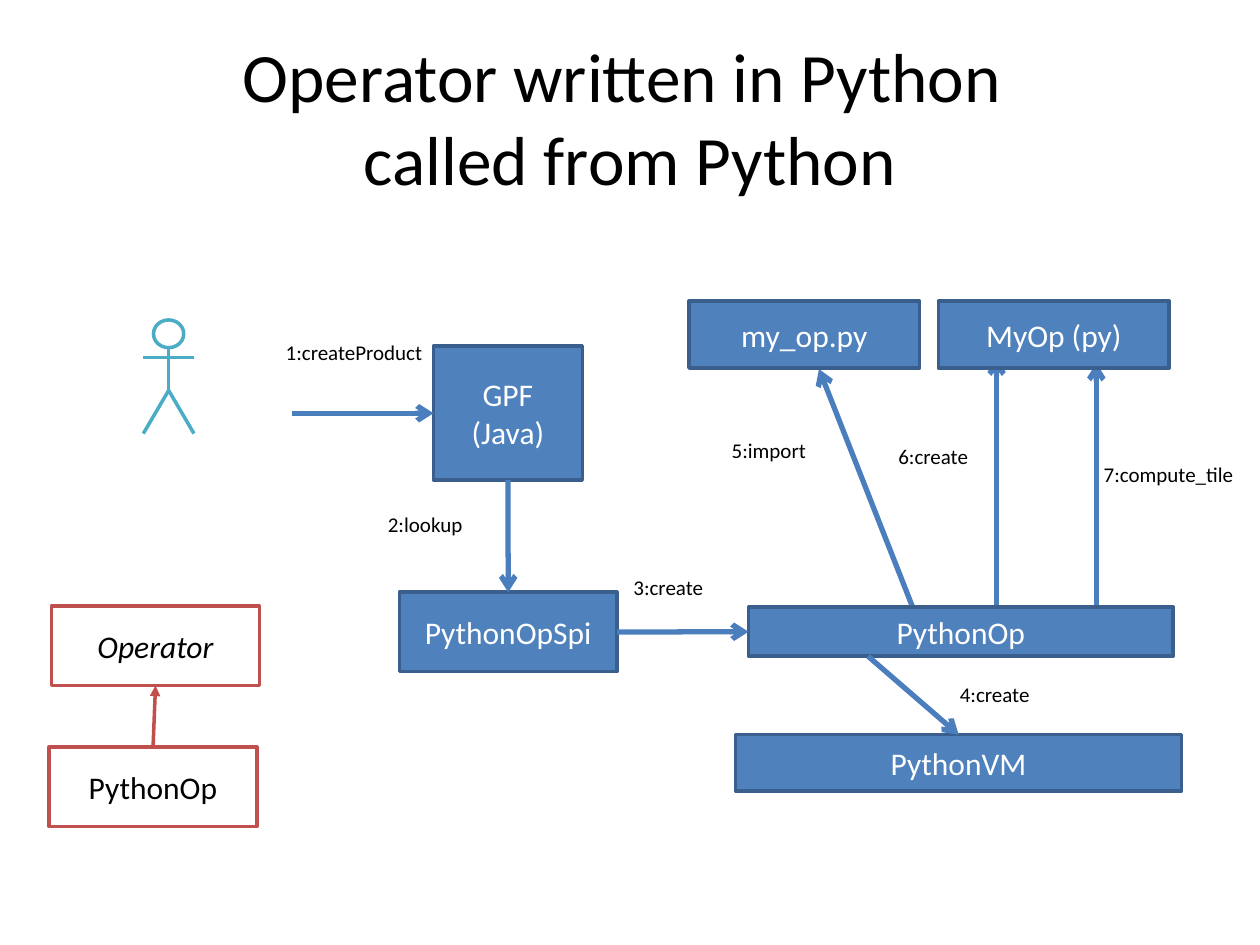
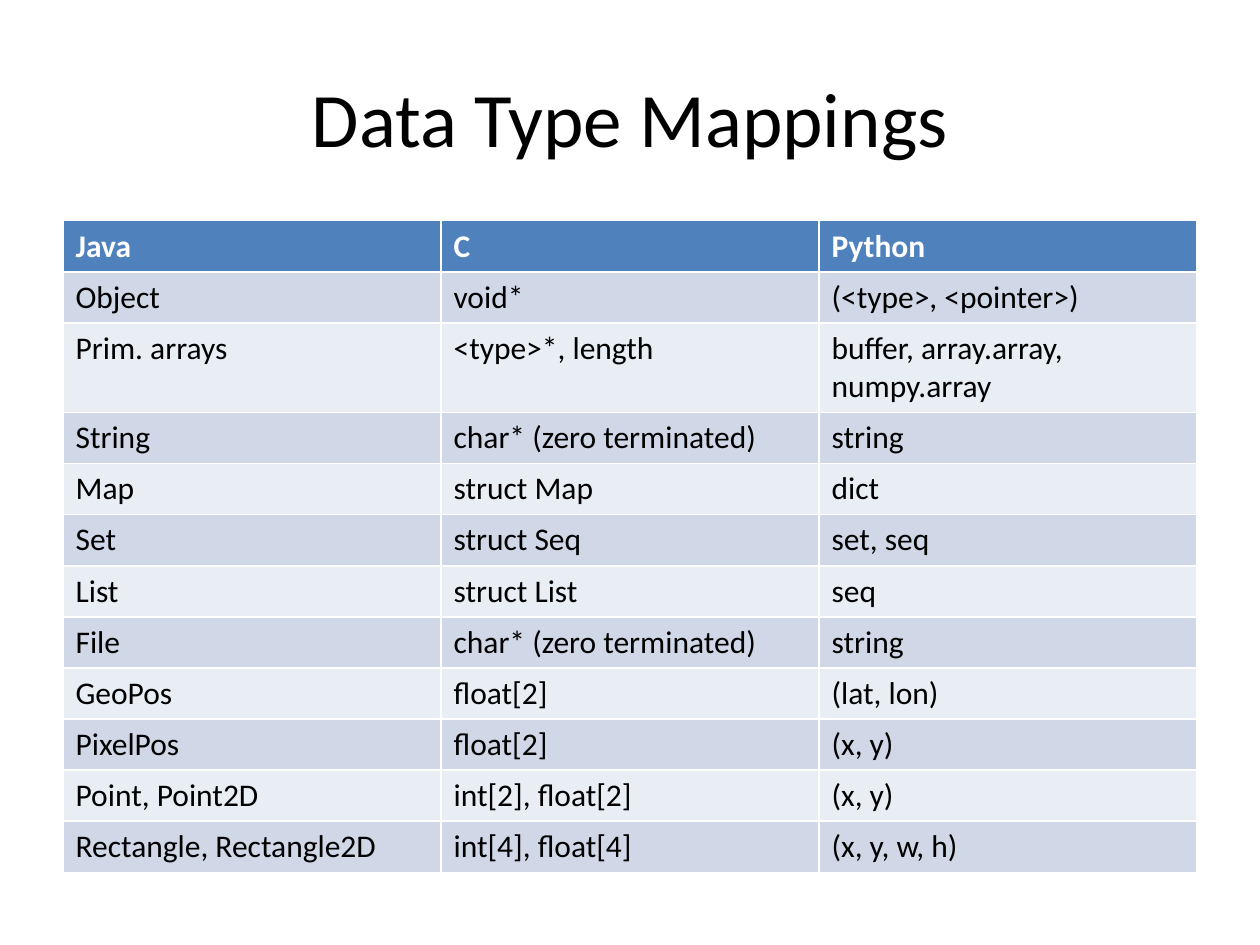
"""Build two slides: the Python operator call flow and the data type mappings."""
from lxml.etree import SubElement as Sub
from pptx import Presentation
from pptx.dml.color import RGBColor as Rgb
from pptx.enum.shapes import MSO_CONNECTOR as Conn, MSO_SHAPE as Form
from pptx.enum.text import MSO_ANCHOR as Anchor, PP_ALIGN as Align
from pptx.oxml.ns import qn
from pptx.util import Cm, Pt

FONT = "Calibri"
HUES = {
    "white": "FFFFFF", "black": "000000", "blue": "4F81BD", "edge": "3A5F8C",
    "arrow": "4B7EBC", "teal": "4BACC6", "red": "C0504D",
    "dark": "D0D8E8", "light": "E9EDF4",
}
KINDS = {
    "call": ("blue", "edge", "white"),
    "class": ("white", "red", "black"),
}

FLOW_TITLE = "Operator written in Python \vcalled from Python"
BOXES = {
    "gpf": ("GPF\n(Java)", "call", 8.74, 6.98, 3, 2.7),
    "op": ("PythonOp", "call", 15.09, 12.24, 8.56, 0.99),
    "spi": ("PythonOpSpi", "call", 8.05, 11.94, 4.39, 1.6),
    "vm": ("PythonVM", "call", 14.83, 14.81, 8.99, 1.14),
    "file": ("my_op.py", "call", 13.89, 6.07, 4.65, 1.35),
    "myop": ("MyOp (py)", "call", 18.92, 6.07, 4.65, 1.35),
    "child": ("PythonOp", "class", 0.99, 15.06, 4.19, 1.6),
    "base": ("Operator", "class", 1.04, 12.22, 4.19, 1.6),
}
LOOSE = [
    ((18.39, 12.22), (16.51, 7.44)),
    ((20.09, 12.22), (20.09, 7.21)),
    ((22.1, 12.34), (22.1, 7.32)),
]
JOINED = [
    ((5.89, 8.33), ("gpf", 1), "arrow", 3, "arrow"),
    (("gpf", 2), ("spi", 0), "arrow", 3, "arrow"),
    (("spi", 3), ("op", 1), "arrow", 3, "arrow"),
    ((17.5, 13.23), ("vm", 0), "arrow", 3, "arrow"),
    (("child", 0), ("base", 2), "red", 2, "triangle"),
]
LABELS = [
    ("1:createProduct", 5.51, 6.73, 3.4),
    ("2:lookup", 7.57, 10.19, 2.34),
    ("3:create", 12.52, 11.46, 3.4),
    ("4:create", 19.1, 13.61, 3.4),
    ("5:import", 14.5, 8.69, 3.4),
    ("6:create", 17.86, 8.81, 3.4),
    ("7:compute_tile", 22, 9.17, 3.4),
]
USER = {"x": 3.4, "top": 6.45, "neck": 7.01, "arms": 7.21, "hip": 7.87,
        "feet": 8.74, "reach": 0.51, "head": 0.61}

TYPES_TITLE = "Data Type Mappings"
TYPES = [
    ("Java", "C", "Python"),
    ("Object", "void*", "(<type>, <pointer>)"),
    ("Prim. arrays", "<type>*, length", "buffer, array.array, numpy.array"),
    ("String", "char* (zero terminated)", "string"),
    ("Map", "struct Map", "dict"),
    ("Set", "struct Seq", "set, seq"),
    ("List", "struct List", "seq"),
    ("File", "char* (zero terminated)", "string"),
    ("GeoPos", "float[2]", "(lat, lon)"),
    ("PixelPos", "float[2]", "(x, y)"),
    ("Point, Point2D", "int[2], float[2]", "(x, y)"),
    ("Rectangle, Rectangle2D", "int[4], float[4]", "(x, y, w, h)"),
]
ROW = 1.03


def rgb(name):
    return Rgb.from_string(HUES[name])


def paint(part, name):
    part.fill.solid()
    part.fill.fore_color.rgb = rgb(name)


def stroke(part, name, width):
    part.line.color.rgb = rgb(name)
    part.line.width = Pt(width)


def write(frame, text, size, hue, align=Align.LEFT, bold=False, slant=False):
    frame.text = text
    for para in frame.paragraphs:
        para.alignment = align
        for run in para.runs:
            font = run.font
            font.name, font.size = FONT, Pt(size)
            font.bold, font.italic = bold, slant
            font.color.rgb = rgb(hue)


def add_slide(deck, text, size):
    slide = deck.slides.add_slide(deck.slide_layouts[5])
    title = slide.shapes.title
    title.left, title.top = Cm(1.27), Cm(0.76)
    title.width, title.height = Cm(22.86), Cm(3.17)
    title.text_frame.vertical_anchor = Anchor.MIDDLE
    write(title.text_frame, text, size, "black", Align.CENTER)
    return slide


def add_line(shapes, start, end, hue, width, tip=None, nodes=None):
    ends = [(0, 0) if isinstance(spot[0], str) else spot for spot in (start, end)]
    line = shapes.add_connector(Conn.STRAIGHT, *[Cm(n) for spot in ends for n in spot])
    for spot, join in ((start, line.begin_connect), (end, line.end_connect)):
        if isinstance(spot[0], str):
            join(nodes[spot[0]], spot[1])
    stroke(line, hue, width)
    if tip:
        Sub(line.line._get_or_add_ln(), qn("a:tailEnd"), type=tip)
    Sub(line._element.spPr, qn("a:effectLst"))


def add_box(shapes, text, kind, *area):
    fill, edge, ink = KINDS[kind]
    box = shapes.add_shape(Form.RECTANGLE, *map(Cm, area))
    box.shadow.inherit = False
    paint(box, fill)
    stroke(box, edge, 2)
    box.text_frame.vertical_anchor = Anchor.MIDDLE
    write(box.text_frame, text, 18, ink, Align.CENTER, slant=text == "Operator")
    return box


def add_label(shapes, text, left, top, width):
    frame = shapes.add_textbox(Cm(left), Cm(top), Cm(width), Cm(0.77)).text_frame
    frame.word_wrap = True
    write(frame, text, 12, "black")


def add_user(shapes):
    parts = shapes.add_group_shape().shapes
    mid, reach, wide = USER["x"], USER["reach"], USER["head"]
    area = mid - wide / 2, USER["top"], wide, USER["neck"] - USER["top"]
    head = parts.add_shape(Form.OVAL, *map(Cm, area))
    head.shadow.inherit = False
    paint(head, "white")
    stroke(head, "teal", 2)
    hip = mid, USER["hip"]
    limbs = [((mid, USER["neck"]), hip),
             ((mid - reach, USER["arms"]), (mid + reach, USER["arms"]))]
    limbs += [((mid + side, USER["feet"]), hip) for side in (-reach, reach)]
    for start, end in limbs:
        add_line(parts, start, end, "teal", 2)


def add_flow(deck):
    shapes = add_slide(deck, FLOW_TITLE, 39.6).shapes
    add_user(shapes)
    for start, end in LOOSE:
        add_line(shapes, start, end, "arrow", 3, "arrow")
    nodes = {key: add_box(shapes, *box) for key, box in BOXES.items()}
    for link in JOINED:
        add_line(shapes, *link, nodes)
    for label in LABELS:
        add_label(shapes, *label)


def add_types(deck):
    shapes = add_slide(deck, TYPES_TITLE, 44).shapes
    size = len(TYPES), len(TYPES[0])
    area = 1.27, 4.45, 22.86, ROW * len(TYPES)
    table = shapes.add_table(*size, *map(Cm, area)).table
    for r, row in enumerate(TYPES):
        table.rows[r].height = Cm(ROW)
        top = r == 0
        fill = "blue" if top else ("light", "dark")[r % 2]
        for c, text in enumerate(row):
            cell = table.cell(r, c)
            paint(cell, fill)
            write(cell.text_frame, text, 18, "white" if top else "black", bold=top)


def main():
    deck = Presentation()
    deck.slide_width, deck.slide_height = Cm(25.4), Cm(19.05)
    add_flow(deck)
    add_types(deck)
    deck.save("out.pptx")


if __name__ == "__main__":
    main()
